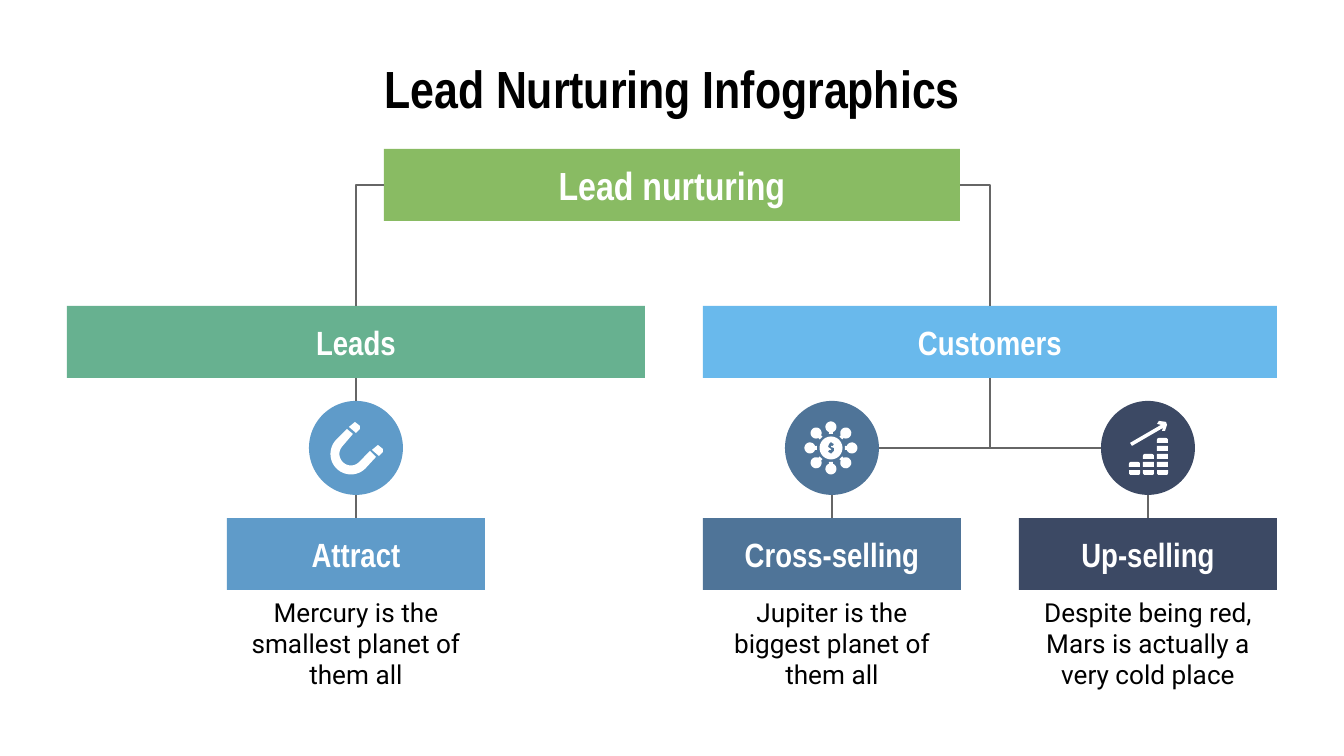
import math
from lxml import etree
from pptx import Presentation
from pptx import util as u
from pptx.dml import color
from pptx.enum import shapes, text
from pptx.oxml import ns

PX = 914400 / 134.4
WHITE, BLACK, GREY = "FFFFFF", "000000", "666666"
HEAD, BODY = "Arial Narrow", "Roboto"
BAR_H, DISC_Y, DISC_D = 72, 401, 94
STEP_Y, STEP_W, NOTE_H = 518, 258, 106
DISC_MID = DISC_Y + DISC_D // 2

TITLE = "Lead Nurturing Infographics"
BARS = [
    ("Lead nurturing", 384, 149, 576, "89BB63", 21),
    ("Leads", 67, 306, 578, "67B190", 18),
    ("Customers", 703, 306, 574, "69B9EC", 18),
]
STEPS = [
    ("Attract", "Mercury is the smallest planet of them all", 227, "5F9BC9"),
    ("Cross-selling", "Jupiter is the biggest planet of them all", 703, "4F7498"),
    ("Up-selling", "Despite being red, Mars is actually a very cold place", 1019, "3C4964"),
]
MAGNET_TIP = [(355, 422), (349, 427), (356, 433), (360, 429), (360, 426)]
COIN_STACKS = [2, 3, 5]
ARROW = [(1159, 421), (1157, 424), (1161, 425), (1130, 443), (1132, 446),
         (1163, 428), (1162, 431), (1165, 431), (1167, 425), (1166, 422)]
DOLLAR = [(0, -6), (1, -5), (3, -4), (2, -2), (0, -2), (0, -1), (3, 0), (3, 3),
          (1, 5), (0, 6), (-1, 5), (-3, 4), (-2, 2), (0, 2), (0, 1), (-3, -1),
          (-2, -4), (-1, -5)]


def emu(v):
    return u.Emu(round(v * PX))


def rgb(value):
    return color.RGBColor.from_string(value)


def write(sp, words, size, font=HEAD, fill=WHITE, bold=True):
    tf = sp.text_frame
    tf.word_wrap = True
    tf.auto_size = text.MSO_AUTO_SIZE.NONE
    tf.vertical_anchor = text.MSO_ANCHOR.MIDDLE
    tf.margin_left = tf.margin_right = tf.margin_top = tf.margin_bottom = u.Inches(0.1)
    p = tf.paragraphs[0]
    p.alignment = text.PP_ALIGN.CENTER
    r = p.add_run()
    r.text = words
    r.font.size, r.font.name, r.font.bold = u.Pt(size), font, bold
    r.font.color.rgb = rgb(fill)


def paint(sp, fill):
    sp.shadow.inherit = False
    sp.fill.solid()
    sp.fill.fore_color.rgb = rgb(fill)
    sp.line.fill.background()
    return sp


def shape(kind, x, y, w, h, fill):
    return paint(s.shapes.add_shape(kind, emu(x), emu(y), emu(w), emu(h)), fill)


def outline(*contours):
    fb = None
    for contour in contours:
        points = [(emu(x), emu(y)) for x, y in contour]
        if fb is None:
            fb = s.shapes.build_freeform(*points[0], scale=1.0)
        else:
            fb.move_to(*points[0])
        fb.add_line_segments(points[1:], close=True)
    paint(fb.convert_to_shape(), WHITE)


def arc(cx, cy, radius, start, end, steps=24):
    angles = [math.radians(start + (end - start) * i / steps) for i in range(steps + 1)]
    return [(cx + radius * math.cos(a), cy + radius * math.sin(a)) for a in angles]


def link(x, y, box, site, bent=False):
    kind = shapes.MSO_CONNECTOR.ELBOW if bent else shapes.MSO_CONNECTOR.STRAIGHT
    cx = s.shapes.add_connector(kind, emu(x), emu(y), emu(x), emu(y))
    cx.end_connect(box, site)
    cx.line.color.rgb, cx.line.width = rgb(GREY), u.Pt(0.75)
    etree.SubElement(cx._element.spPr, ns.qn("a:effectLst"))
    if bent:
        cx._element.spPr.find(ns.qn("a:prstGeom")).set("prst", "bentConnector2")
    return cx


def draw_magnet():
    outline(MAGNET_TIP)
    outline([(x + 23, y + 23) for x, y in MAGNET_TIP])
    outline([(347, 429)] + arc(351, 454, 20.5, 225, 45) + [(376, 457), (370, 451)]
            + arc(351, 454, 11.5, 45, 225) + [(353, 434)])


def draw_network(cx, cy):
    for angle in range(0, 360, 45):
        a = math.radians(angle)
        local = arc(21, 0, 5.5, -160, 160) + [(14, 2), (14, -2)]
        outline([(cx + x * math.cos(a) - y * math.sin(a),
                  cy + x * math.sin(a) + y * math.cos(a)) for x, y in local])
    outline(arc(cx, cy, 11.5, 0, 360), [(cx + x, cy + y) for x, y in DOLLAR])


def draw_growth():
    for col, count in enumerate(COIN_STACKS):
        for row in range(count):
            rounded = row in (0, count - 1)
            kind = (shapes.MSO_SHAPE.ROUND_2_SAME_RECTANGLE if rounded
                    else shapes.MSO_SHAPE.RECTANGLE)
            coin = shape(kind, 1129 + 14 * col, 470 - 8 * row, 11, 5, WHITE)
            if rounded:
                coin.adjustments[0] = 0.4
            if row == 0:
                coin.rotation = 180
    outline(ARROW)


prs = Presentation()
prs.slide_width, prs.slide_height = emu(1344), emu(756)
s = prs.slides.add_slide(prs.slide_layouts[5])
title = s.shapes.title
title.left, title.top, title.width, title.height = map(emu, (67, 60, 1210, 55))
write(title, TITLE, 28, fill=BLACK)

bars = []
for label, x, y, w, fill, size in BARS:
    bars.append(shape(shapes.MSO_SHAPE.RECTANGLE, x, y, w, BAR_H, fill))
    write(bars[-1], label, size)
root, leads, customers = bars

for child, side in ((leads, 1), (customers, 3)):
    link(0, 0, child, 0, bent=True).begin_connect(root, side)

mids = []
for label, note, x, fill in STEPS:
    mid = x + STEP_W // 2
    mids.append(mid)
    step = shape(shapes.MSO_SHAPE.RECTANGLE, x, STEP_Y, STEP_W, BAR_H, fill)
    write(step, label, 18)
    tb = s.shapes.add_textbox(emu(x), emu(STEP_Y + BAR_H), emu(STEP_W), emu(NOTE_H))
    write(tb, note, 14, font=BODY, fill=BLACK, bold=False)
    shape(shapes.MSO_SHAPE.OVAL, mid - DISC_D // 2, DISC_Y, DISC_D, DISC_D, fill)
    link(mid, DISC_Y + DISC_D, step, 0)

attract, cross, up = mids
link(attract, DISC_Y, leads, 2)
link(cross + DISC_D // 2, DISC_MID, customers, 2, bent=True)
link(up - DISC_D // 2, DISC_MID, customers, 2, bent=True)

draw_magnet()
draw_network(cross - 1, DISC_MID)
draw_growth()

prs.save("out.pptx")
